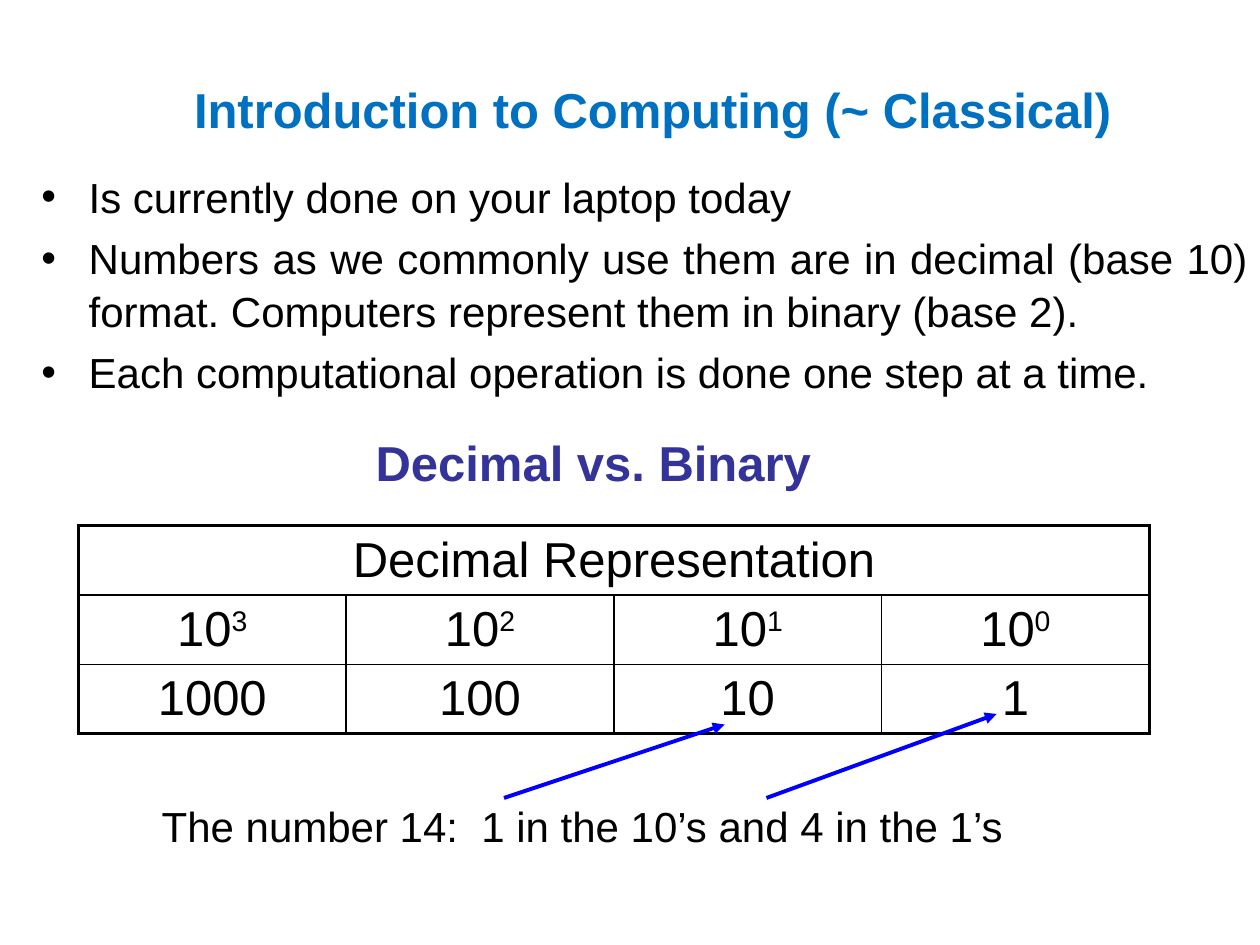
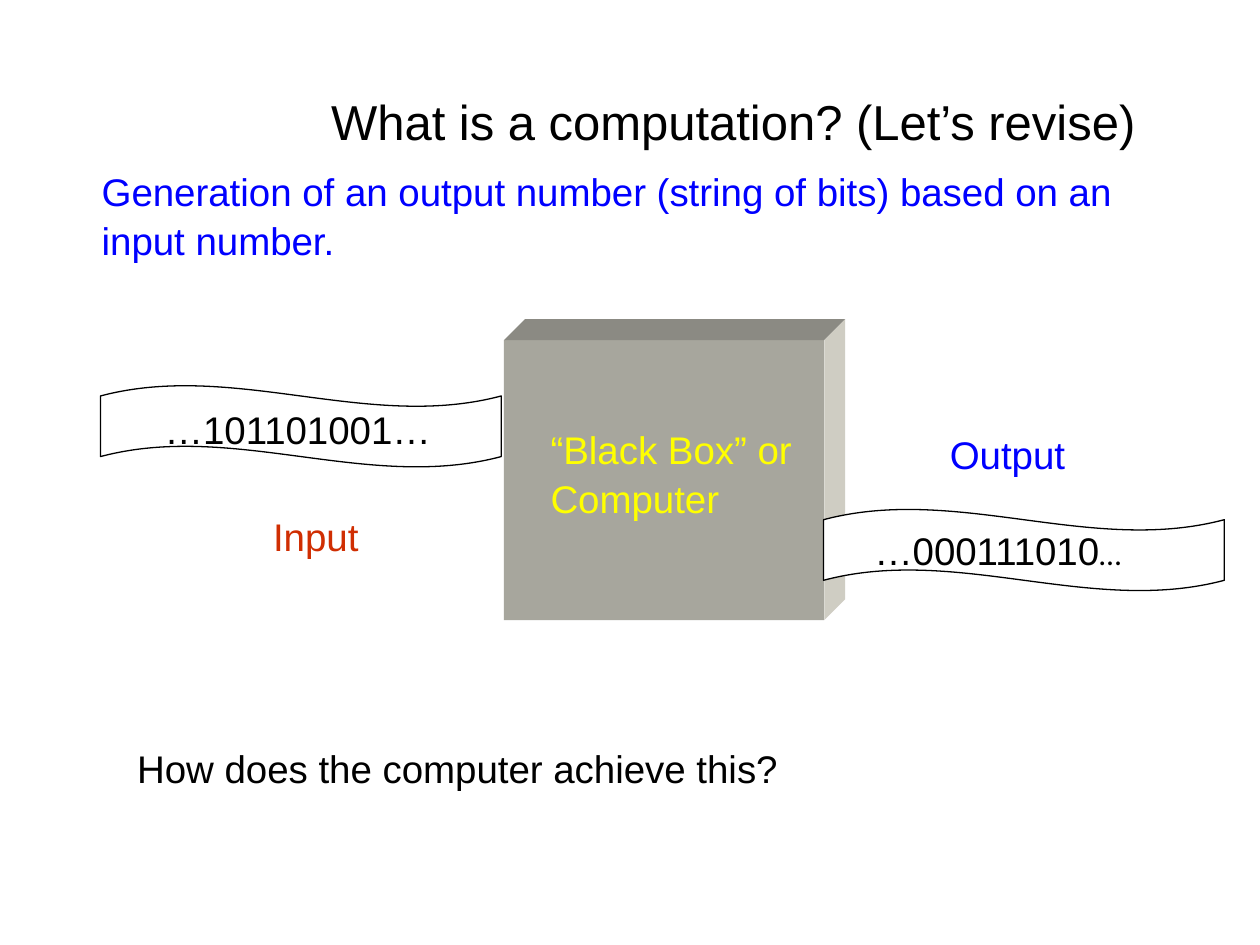
from pptx import Presentation
from pptx.dml.color import RGBColor
from pptx.enum.shapes import MSO_CONNECTOR, MSO_SHAPE
from pptx.enum.text import MSO_ANCHOR as Anchor, PP_ALIGN as Align
from pptx.oxml.ns import qn
from pptx.util import Pt
from lxml.etree import SubElement

FONT = "Arial"
BLACK, WHITE, BLUE, YELLOW = "000000", "FFFFFF", "0000FF", "FFFF00"
TITLE_BLUE, NAVY, RED = "0070C0", "333399", "D02E02"
BOX_FRONT, BOX_TOP, BOX_SIDE = "A7A69D", "8B8A83", "CFCDC3"
TITLE_SIZE, BODY_SIZE, LABEL_SIZE = 28, 24, 22


def color(value):
    return RGBColor.from_string(value)


def points(*values):
    return [Pt(value) for value in values]


def style_run(run, size, hue, bold=False, font=FONT):
    run.font.name = font
    run.font.size = Pt(size)
    run.font.bold = bold
    run.font.color.rgb = color(hue)


def fill_text(shape, lines, size, hue, bold=False, align=Align.LEFT,
              anchor=Anchor.TOP, wrap=True, spacing=1.0):
    frame = shape.text_frame
    frame.text = "\n".join(lines)
    frame.word_wrap = wrap
    frame.vertical_anchor = anchor
    for para in frame.paragraphs:
        para.alignment = align
        para.line_spacing = spacing
        para.space_before = Pt(0)
        for run in para.runs:
            style_run(run, size, hue, bold)
    return frame


def add_text(page, box, lines, size, hue, **options):
    return fill_text(page.shapes.add_textbox(*points(*box)), lines, size, hue, **options)


def set_title(page, box, text, hue, **options):
    title = page.shapes.title
    title.left, title.top, title.width, title.height = points(*box)
    fill_text(title, [text], TITLE_SIZE, hue, **options)


def add_bullets(page, box, lines):
    frame = add_text(page, box, lines, BODY_SIZE, BLACK, align=Align.JUSTIFY, spacing=1.05)
    for index, para in enumerate(frame.paragraphs):
        props = para._p.get_or_add_pPr()
        props.set("marL", str(Pt(27)))
        props.set("indent", str(Pt(-27)))
        SubElement(props, qn("a:buFont")).set("typeface", FONT)
        SubElement(props, qn("a:buChar")).set("char", "•")
        if index:
            para.space_before = Pt(4.8)


def set_borders(cell, widths):
    props = cell._tc.get_or_add_tcPr()
    for side, width in zip("LRTB", widths):
        line = SubElement(props, qn(f"a:ln{side}"), w=str(Pt(width)))
        fill = SubElement(line, qn("a:solidFill"))
        SubElement(fill, qn("a:srgbClr")).set("val", BLACK)


def fill_cell(cell, base, power=""):
    cell.fill.background()
    cell.margin_top = cell.margin_bottom = Pt(3)
    cell.vertical_anchor = Anchor.MIDDLE
    para = cell.text_frame.paragraphs[0]
    para.text = base
    para.alignment = Align.CENTER
    if power:
        para.add_run().text = power
        para.runs[1]._r.get_or_add_rPr().set("baseline", "30000")
    for run in para.runs:
        style_run(run, TITLE_SIZE, BLACK)


def add_place_table(page, box, heading, powers):
    columns = len(powers)
    table = page.shapes.add_table(3, columns, *points(*box)).table
    table.first_row = table.horz_banding = False
    thick, thin = 2.25, 1
    for row in range(3):
        for column in range(columns):
            set_borders(table.cell(row, column), [
                thick if edge else thin
                for edge in (column == 0, row == 0 or column == columns - 1, row == 0, row == 2)])
    table.cell(0, 0).merge(table.cell(0, columns - 1))
    fill_cell(table.cell(0, 0), heading)
    for column, power in enumerate(powers):
        fill_cell(table.cell(1, column), "10", str(power))
        fill_cell(table.cell(2, column), str(10 ** power))


def add_arrow(page, start, end):
    arrow = page.shapes.add_connector(MSO_CONNECTOR.STRAIGHT, *points(*start, *end))
    arrow.line.color.rgb = color(BLUE)
    arrow.line.width = Pt(2.25)
    SubElement(arrow.line._get_or_add_ln(), qn("a:tailEnd")).set("type", "triangle")
    SubElement(arrow._element.spPr, qn("a:effectLst"))


def paint(shape, hue):
    shape.shadow.inherit = False
    shape.fill.solid()
    shape.fill.fore_color.rgb = color(hue)
    shape.line.fill.background()


def add_black_box(page, box, depth, lines):
    left, top, width, height = box
    right, bottom = left + width, top + height
    paint(page.shapes.add_shape(MSO_SHAPE.RECTANGLE, *points(*box)), BOX_FRONT)
    back_right = (right + depth, top - depth)
    faces = [
        (BOX_TOP, [(left, top), (left + depth, top - depth), back_right, (right, top)]),
        (BOX_SIDE, [(right, top), back_right, (right + depth, bottom - depth), (right, bottom)]),
    ]
    for hue, corners in faces:
        builder = page.shapes.build_freeform(*points(*corners[0]))
        builder.add_line_segments([points(*corner) for corner in corners[1:]], close=True)
        paint(builder.convert_to_shape(), hue)
    add_text(page, (left + 19.5, top + 44, 154, 60.5), lines, LABEL_SIZE, YELLOW,
             wrap=False, spacing=1.06)


def add_tape(page, left, top, bits, bits_offset):
    tape = page.shapes.add_shape(MSO_SHAPE.WAVE, *points(left, top, 229, 46.8))
    tape.adjustments[0], tape.adjustments[1] = 0.13, 0
    paint(tape, WHITE)
    tape.line.color.rgb = color(BLACK)
    tape.line.width = Pt(0.75)
    x, y = bits_offset
    return add_text(page, (left + x, top + y, 176.4, 33.8), [bits], LABEL_SIZE, BLACK,
                    spacing=1.06)


def build_decimal_page(deck):
    page = deck.slides.add_slide(deck.slide_layouts[5])
    set_title(page, (49, 17.3, 648, 90), "Introduction to Computing (~ Classical)", TITLE_BLUE,
              bold=True, align=Align.CENTER, anchor=Anchor.MIDDLE)
    add_bullets(page, (16.6, 92.9, 703.4, 230), [
        "Is currently done on your laptop today",
        "Numbers as we commonly use them are in decimal (base 10) format. "
        "Computers represent them in binary (base 2).",
        "Each computational operation is done one step at a time.",
    ])
    add_text(page, (33, 219, 612, 90), ["Decimal vs. Binary"], TITLE_SIZE, NAVY,
             bold=True, align=Align.CENTER, anchor=Anchor.MIDDLE)
    add_place_table(page, (44.8, 300.4, 612, 115), "Decimal Representation", [3, 2, 1, 0])
    add_text(page, (44.8, 452.2, 576, 36), ["The number 14:  1 in the 10’s and 4 in the 1’s"],
             BODY_SIZE, BLACK, align=Align.CENTER, spacing=1.05)
    add_arrow(page, (288, 456), (414, 414))
    add_arrow(page, (438, 456), (569.5, 408))


def build_computation_page(deck):
    page = deck.slides.add_slide(deck.slide_layouts[5])
    set_title(page, (182, 46.8, 480.2, 41), "What is a computation? (Let’s revise)", BLACK,
              wrap=False, spacing=1.06)
    add_text(page, (51, 90.7, 669, 60.5),
             ["Generation of an output number (string of bits) based on an", "input number."],
             LABEL_SIZE, BLUE, spacing=1.06)
    add_black_box(page, (288, 194.4, 183, 160), 12, ["“Black Box” or", "Computer"])
    add_tape(page, 57.4, 220.2, "…101101001…", (29.6, 6.6))
    output = add_tape(page, 470.6, 290.9, "…000111010", (21.9, 5))
    ellipsis = output.paragraphs[0].add_run()
    ellipsis.text = "…"
    style_run(ellipsis, 18, BLACK, font="Calibri")
    labels = [
        ((149, 288, 64, 33.8), "Input", RED),
        ((535.7, 241.2, 81.4, 33.8), "Output", BLUE),
        ((71.3, 420.5, 385.2, 33.8), "How does the computer achieve this?", BLACK),
    ]
    for box, text, hue in labels:
        add_text(page, box, [text], LABEL_SIZE, hue, wrap=False, spacing=1.06)


def main():
    deck = Presentation()
    deck.slide_width, deck.slide_height = points(720, 540)
    build_decimal_page(deck)
    build_computation_page(deck)
    deck.save("out.pptx")


if __name__ == "__main__":
    main()
